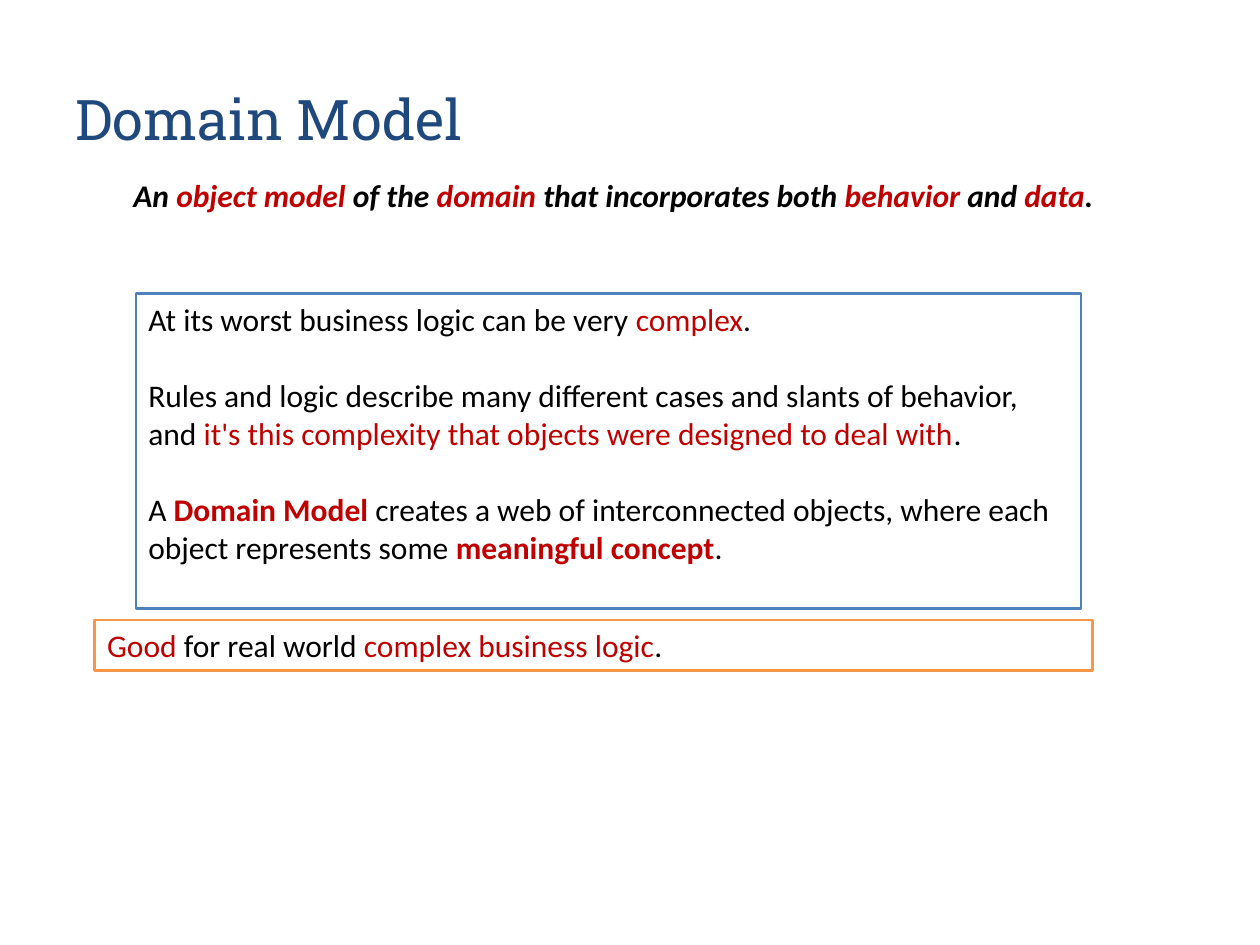
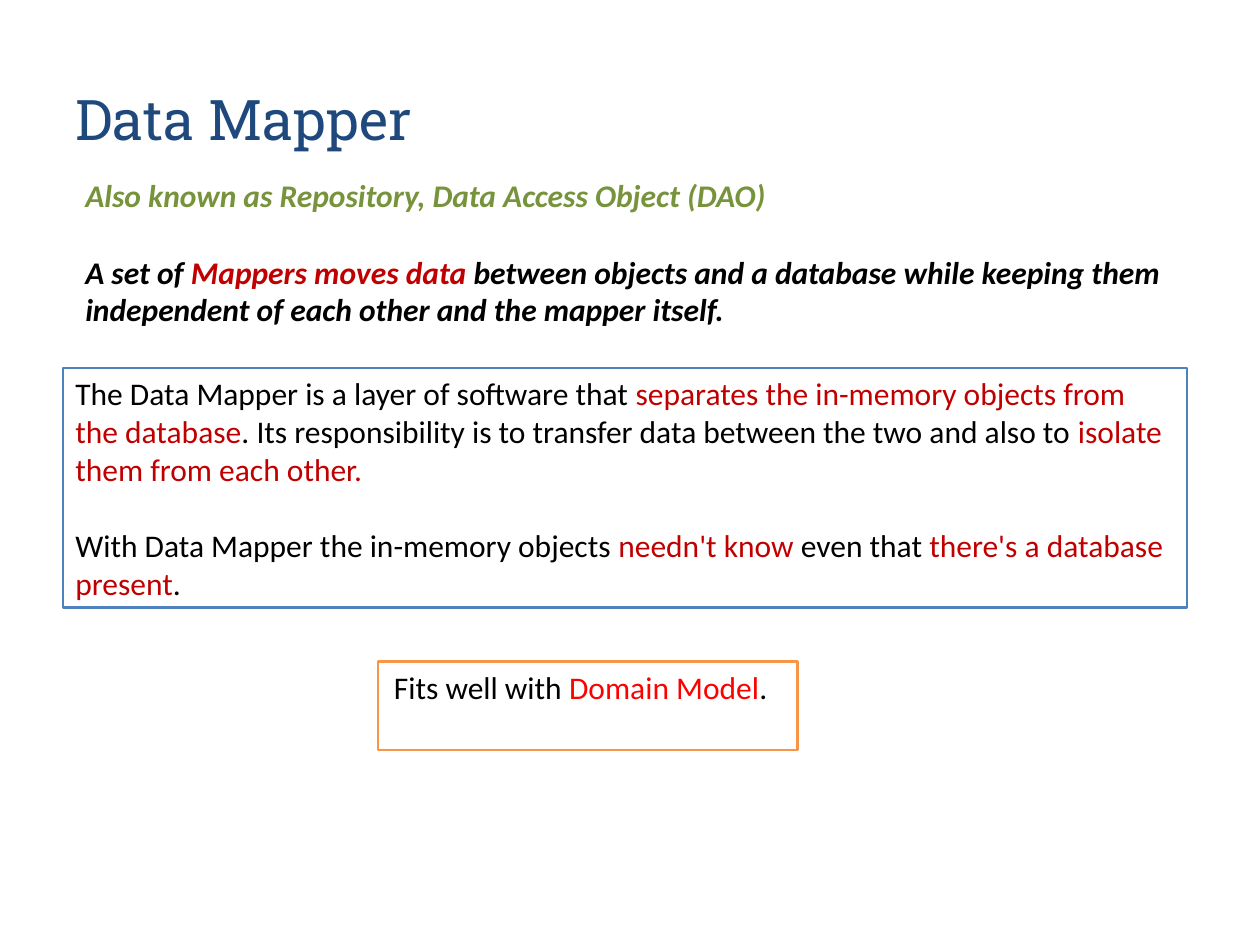
import pptx
import pptx.util
import pptx.dml.color
import pptx.enum.shapes
import pptx.enum.text

Cm, Pt = pptx.util.Cm, pptx.util.Pt
Align = pptx.enum.text.PP_ALIGN
Anchor = pptx.enum.text.MSO_ANCHOR

# Shared look
INK = {"title": "1F497D", "black": "000000", "red": "C00000", "bright": "FF0000",
       "green": "77933C", "white": "FFFFFF", "blue": "4F81BD", "orange": "F79646"}
HEAD, BODY = "Roboto Slab", "Calibri"
SIZE, GAP = Pt(18), Pt(22)


def color(name):
    return pptx.dml.color.RGBColor.from_string(INK[name])


def style(font, face, size, ink):
    font.name, font.size = face, size
    font.color.rgb = color(ink)


def add_title(deck, text):
    """Add a title-only slide and set its title."""
    slide = deck.slides.add_slide(deck.slide_layouts[5])
    title = slide.shapes.title
    title.left, title.top = Cm(1.27), Cm(0.64)
    title.width, title.height = Cm(22.86), Cm(2.54)
    frame = title.text_frame
    frame.text = text
    frame.auto_size = pptx.enum.text.MSO_AUTO_SIZE.NONE
    frame.vertical_anchor = Anchor.BOTTOM
    line = frame.paragraphs[0]
    line.alignment = Align.LEFT
    style(line.runs[0].font, HEAD, Pt(32), "title")
    return slide


def write(frame, lines, align=Align.LEFT, ink="black", mark="red",
          strong=False, slant=False):
    """Fill a frame; words between asterisks take the mark colour.

    A line is a text, or a pair of text and options that differ for it.
    """
    frame.word_wrap = True
    frame.vertical_anchor = Anchor.TOP
    for row, line in enumerate(lines):
        text, extra = line if isinstance(line, tuple) else (line, {})
        para = frame.add_paragraph() if row else frame.paragraphs[0]
        para.alignment = align
        if row:
            para.space_before = GAP
        for part, words in enumerate(text.split("*")):
            if not words:
                continue
            marked = part % 2 == 1
            run = para.add_run()
            run.text = words
            style(run.font, BODY, SIZE, mark if marked else extra.get("ink", ink))
            run.font.bold = strong or (marked and extra.get("bold", False))
            run.font.italic = slant


def add_lead(slide, place, lines, **look):
    """Add the bold italic definition below the title."""
    box = slide.shapes.add_textbox(*map(Cm, place))
    write(box.text_frame, lines, strong=True, slant=True, **look)


def add_panel(slide, place, edge, lines, **look):
    """Add a white outlined panel with text."""
    panel = slide.shapes.add_shape(
        pptx.enum.shapes.MSO_SHAPE.RECTANGLE, *map(Cm, place))
    panel.shadow.inherit = False
    panel.fill.solid()
    panel.fill.fore_color.rgb = color("white")
    panel.line.color.rgb = color(edge)
    panel.line.width = Pt(1.5)
    write(panel.text_frame, lines, **look)
    return panel


def add_domain(deck):
    slide = add_title(deck, "Domain Model")
    add_lead(slide, (1.47, 3.43, 21.79, 1.78), [
        "An *object model* of the *domain* that incorporates both "
        "*behavior* and *data*."], align=Align.CENTER)
    add_panel(slide, (2.74, 5.92, 19.05, 6.35), "blue", [
        "At its worst business logic can be very *complex*.",
        "Rules and logic describe many different cases and slants of behavior, "
        "and *it's this complexity that objects were designed to deal with*.",
        ("A *Domain Model* creates a web of interconnected objects, where each "
         "object represents some *meaningful concept*.", {"bold": True})])
    add_panel(slide, (1.91, 12.5, 20.12, 1.02), "orange", [
        "*Good* for real world *complex business logic*."])


def add_mapper(deck):
    slide = add_title(deck, "Data Mapper")
    add_lead(slide, (1.47, 3.43, 22.43, 3.3), [
        ("Also known as Repository, Data Access Object (DAO)", {"ink": "green"}),
        "A set of *Mappers moves data *between objects and a database while "
        "keeping them independent of each other and the mapper itself."])
    add_panel(slide, (1.27, 7.42, 22.66, 4.83), "blue", [
        "The Data Mapper is a layer of software that *separates the in-memory "
        "objects from the database*. Its responsibility is to transfer data "
        "between the two and also to *isolate them from each other.*",
        "With Data Mapper the in-memory objects *needn't know *even that "
        "*there's a database present*."])
    note = add_panel(slide, (7.62, 13.34, 8.46, 1.78), "orange", [
        "Fits well with *Domain Model*."], align=Align.CENTER, mark="bright")
    # The note sits slightly left of centre
    note.text_frame.margin_right = Cm(0.54)


def main():
    deck = pptx.Presentation()
    deck.slide_width, deck.slide_height = Cm(25.4), Cm(19.05)
    add_domain(deck)
    add_mapper(deck)
    deck.save("out.pptx")


if __name__ == "__main__":
    main()
